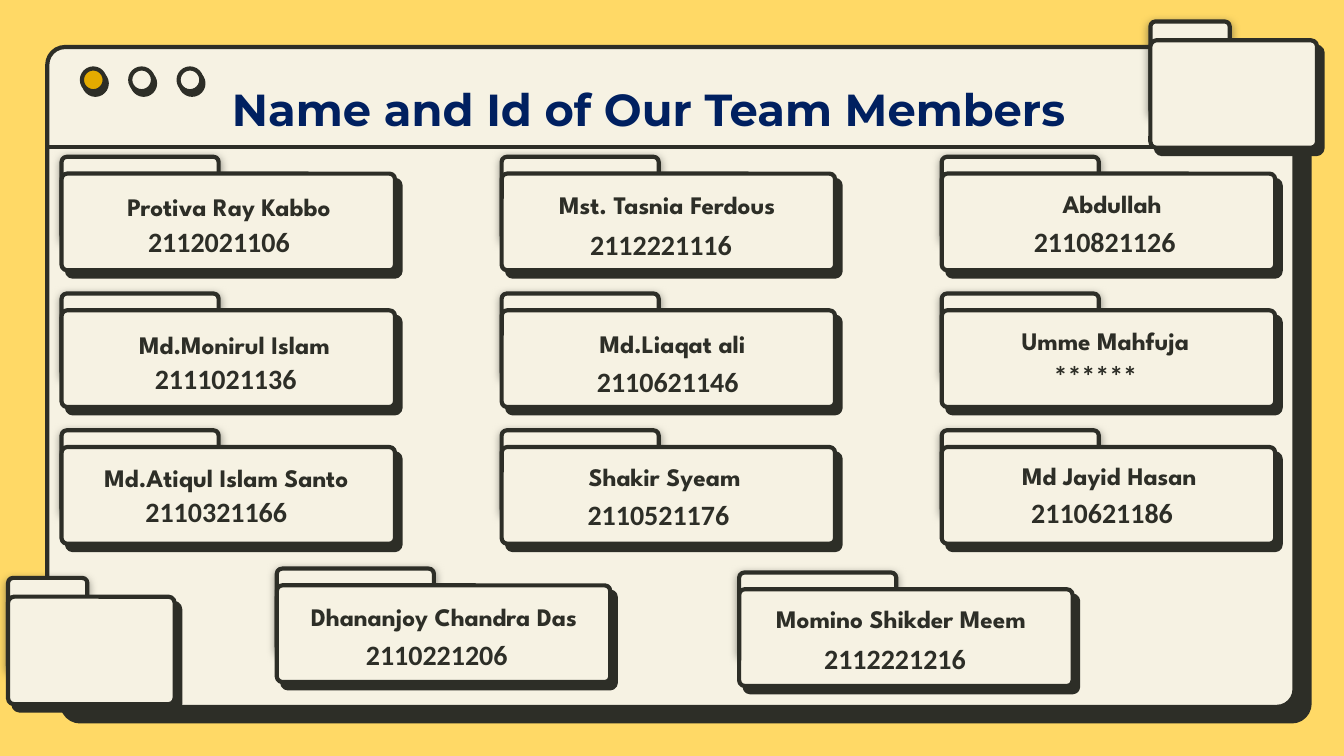
from dataclasses import dataclass

from lxml.etree import SubElement
from pptx import Presentation
from pptx.dml.color import RGBColor
from pptx.enum.shapes import MSO_CONNECTOR, MSO_SHAPE
from pptx.enum.text import MSO_ANCHOR, MSO_AUTO_SIZE, PP_ALIGN
from pptx.oxml.ns import qn
from pptx.util import Pt

COLORS = {
    "background": "FFD966",
    "paper": "F6F2E3",
    "ink": "2D2E27",
    "gold": "E4AB00",
    "title": "002060",
}
TITLE_FONT = {"name": "Montserrat", "size": Pt(24), "bold": True}
NAME_FONT = {"name": "League Spartan", "size": Pt(13.5), "bold": True}
NUMBER_FONT = {"name": "Calibri", "size": Pt(15), "bold": True}
FRAME_FORMAT = {
    "word_wrap": True,
    "auto_size": MSO_AUTO_SIZE.NONE,
    "margin_left": Pt(7.2),
    "margin_right": Pt(7.2),
    "margin_top": Pt(7.2),
    "margin_bottom": Pt(7.2),
}
LINE_WIDTH = 2.25
NAME_SIZE = (177.8, 29.5)
NUMBER_SIZE = (161.3, 23.8)


@dataclass(frozen=True)
class Shadow:
    """Blur and distance are in points, opacity in percent, angle in degrees."""
    opacity: int
    blur: float
    distance: float
    angle: int


@dataclass(frozen=True)
class FolderStyle:
    tab: tuple[float, float]
    body: tuple[float, float]
    drop: float


@dataclass(frozen=True)
class Member:
    """Text shifts are measured from the folder's top left corner."""
    name: str
    number: str
    name_shift: tuple[float, float]
    number_shift: tuple[float, float]


WINDOW_SHADOW = Shadow(100, 0, 11.2, 44)
BUTTON_SHADOW = Shadow(100, 0, 2.2, 60)
TAB_SHADOW = Shadow(50, 4.5, 1.5, 90)
BODY_SHADOW = Shadow(100, 0, 4.5, 49)

CARD = FolderStyle(tab=(84.2, 44.6), body=(178.6, 51.8), drop=9)
ORNAMENT = FolderStyle(tab=(42.5, 49.7), body=(89.3, 57.6), drop=10.1)
ORNAMENT_CORNERS = [(616.3, 11.5), (4.3, 309.6)]

GRID_LEFT, GRID_TOP = 33, 84
COLUMN_STEP, ROW_STEP = 235.75, 73.25
COLUMNS, GRID_ROWS = 3, 3
LAST_ROW = [(148.3, 304.6), (396, 306.7)]

MEMBERS = [
    Member("Protiva Ray Kabbo", "2112021106", (0.8, 11.8), (3.7, 33.4)),
    Member("Mst. Tasnia Ferdous", "2112221116", (-0.2, 11), (4.8, 34.8)),
    Member("Abdullah", "2110821126", (2.4, 10.3), (6.7, 33.4)),
    Member("Md.Monirul Islam", "2111021136", (3.7, 12.6), (7.3, 33.5)),
    Member("Md.Liaqat ali", "2110621146", (2.7, 12), (8.4, 35)),
    Member("Umme Mahfuja", "******", (-1.2, 10.5), (1.7, 32.1)),
    Member("Md.Atiqul Islam Santo", "2110321166", (-0.6, 10.7), (2.3, 31.6)),
    Member("Shakir Syeam", "2110521176", (-1.6, 10), (3.4, 33)),
    Member("Md Jayid Hasan", "2110621186", (0.9, 9.3), (5.3, 32.3)),
    Member("Dhananjoy Chandra Das", "2110221206", (0.7, 10.8), (5.1, 33.8)),
    Member("Momino Shikder Meem", "2112221216", (-2.2, 10.1), (2.9, 33.9)),
]


def rgb(color: str) -> RGBColor:
    return RGBColor.from_string(COLORS[color])


def set_attributes(target, values: dict) -> None:
    for key, value in values.items():
        setattr(target, key, value)


def add_shadow(shape, shadow: Shadow) -> None:
    shape.shadow.inherit = False
    effects = shape.element.spPr.find(qn("a:effectLst"))
    outer = SubElement(effects, qn("a:outerShdw"), {
        "blurRad": str(Pt(shadow.blur)),
        "dist": str(Pt(shadow.distance)),
        "dir": str(shadow.angle * 60000),
        "algn": "bl",
        "rotWithShape": "0",
    })
    tint = SubElement(outer, qn("a:srgbClr"), {"val": COLORS["ink"]})
    SubElement(tint, qn("a:alpha"), {"val": str(shadow.opacity * 1000)})


def add_outlined(shapes, kind: MSO_SHAPE, corner: tuple, size: tuple,
                 shadow: Shadow, fill: str = "paper", rounding: float = 0) -> None:
    shape = shapes.add_shape(kind, *map(Pt, corner + size))
    if rounding:
        shape.adjustments[0] = rounding
    shape.fill.solid()
    shape.fill.fore_color.rgb = rgb(fill)
    shape.line.color.rgb = rgb("ink")
    shape.line.width = Pt(LINE_WIDTH)
    add_shadow(shape, shadow)


def add_folder(slide, corner: tuple, style: FolderStyle) -> None:
    left, top = corner
    group = slide.shapes.add_group_shape()
    add_outlined(group.shapes, MSO_SHAPE.ROUNDED_RECTANGLE, corner, style.tab,
                 TAB_SHADOW, rounding=0.063)
    add_outlined(group.shapes, MSO_SHAPE.ROUNDED_RECTANGLE, (left, top + style.drop),
                 style.body, BODY_SHADOW, rounding=0.058)


def write_text(box, text: str, font: dict, color: str = "ink",
               anchor: MSO_ANCHOR = MSO_ANCHOR.MIDDLE) -> None:
    frame = box.text_frame
    set_attributes(frame, FRAME_FORMAT)
    frame.vertical_anchor = anchor
    para = frame.paragraphs[0]
    para.alignment = PP_ALIGN.CENTER
    span = para.add_run()
    span.text = text
    set_attributes(span.font, font)
    span.font.color.rgb = rgb(color)


def add_member(slide, member: Member, corner: tuple) -> None:
    add_folder(slide, corner, CARD)
    labels = [
        (member.name, member.name_shift, NAME_SIZE, NAME_FONT),
        (member.number, member.number_shift, NUMBER_SIZE, NUMBER_FONT),
    ]
    for text, shift, size, font in labels:
        place = (corner[0] + shift[0], corner[1] + shift[1], *size)
        write_text(slide.shapes.add_textbox(*map(Pt, place)), text, font)


def add_window(slide) -> None:
    group = slide.shapes.add_group_shape()
    add_outlined(group.shapes, MSO_SHAPE.ROUNDED_RECTANGLE, (25.3, 25.2),
                 (668.2, 353.5), WINDOW_SHADOW, rounding=0.027)
    rule = group.shapes.add_connector(
        MSO_CONNECTOR.STRAIGHT, Pt(25.9), Pt(78.6), Pt(694), Pt(78.6))
    rule.line.color.rgb = rgb("ink")
    rule.line.width = Pt(LINE_WIDTH)
    SubElement(rule.element.spPr, qn("a:effectLst"))
    for index, fill in enumerate(["gold", "paper", "paper"]):
        add_outlined(group.shapes, MSO_SHAPE.OVAL, (43.9 + 25.9 * index, 36.7),
                     (12.2, 12.2), BUTTON_SHADOW, fill)


def add_title(slide, text: str) -> None:
    title = slide.shapes.title
    set_attributes(title, {"left": Pt(43.9), "top": Pt(41.8),
                           "width": Pt(607), "height": Pt(38.2)})
    write_text(title, text, TITLE_FONT, "title", MSO_ANCHOR.BOTTOM)
    # The placeholder is created first, so bring it in front of the window.
    title.element.getparent().append(title.element)


def main() -> None:
    deck = Presentation()
    deck.slide_width, deck.slide_height = Pt(720), Pt(405)
    page = deck.slides.add_slide(deck.slide_layouts[5])
    page.background.fill.solid()
    page.background.fill.fore_color.rgb = rgb("background")

    add_window(page)
    for corner in ORNAMENT_CORNERS:
        add_folder(page, corner, ORNAMENT)
    add_title(page, "Name and Id of Our Team Members")

    grid = [(GRID_LEFT + column * COLUMN_STEP, GRID_TOP + row * ROW_STEP)
            for row in range(GRID_ROWS) for column in range(COLUMNS)]
    for member, corner in zip(MEMBERS, grid + LAST_ROW):
        add_member(page, member, corner)

    deck.save("out.pptx")


if __name__ == "__main__":
    main()
